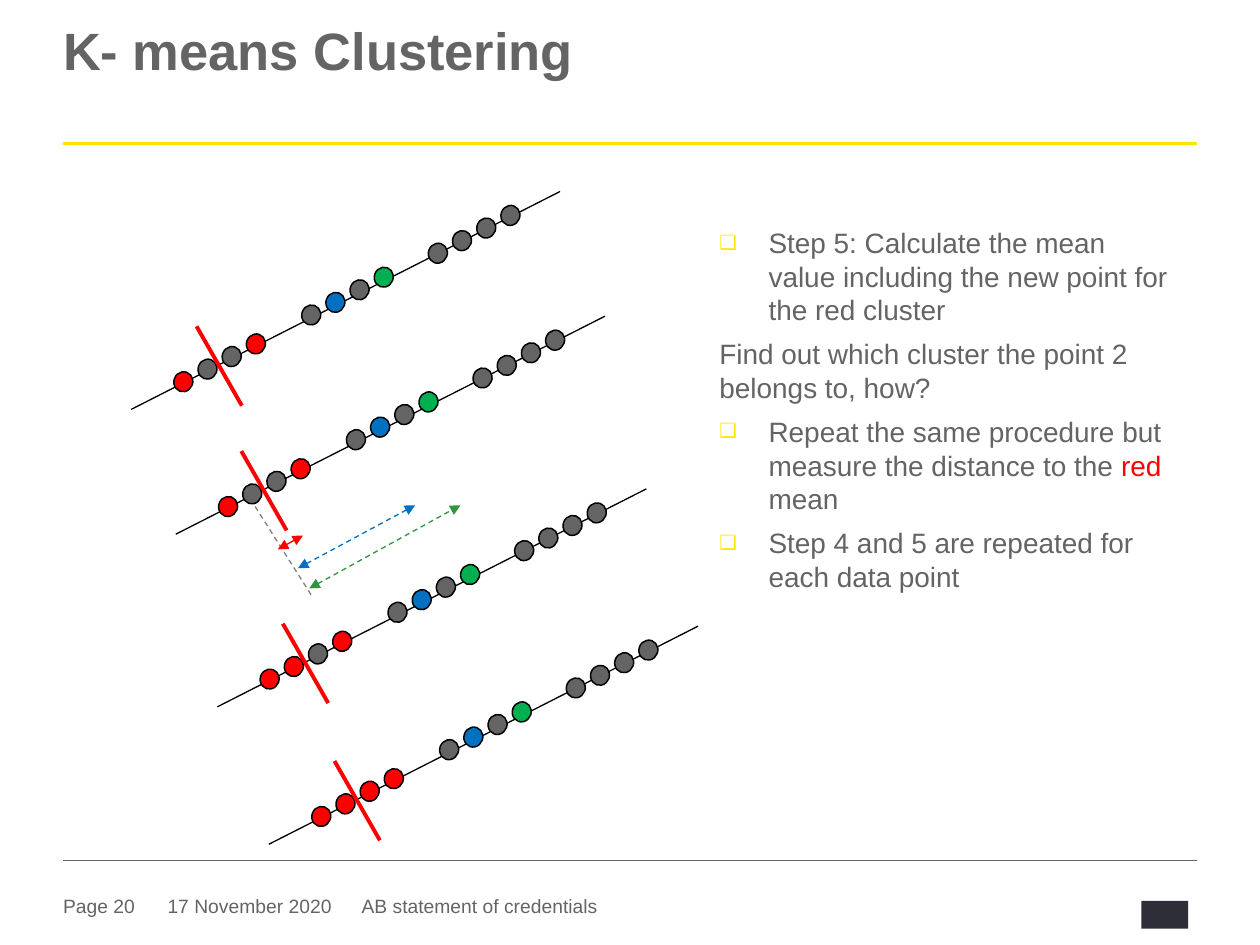
from lxml import etree
from pptx import Presentation, util as u
from pptx.dml.color import RGBColor
from pptx.enum import dml, shapes, text
from pptx.oxml.ns import qn

# The slide is a grid of 100 columns by 75 rows; all lengths are in cells
COLS, ROWS = 100, 75
CELL = u.Inches(10) // COLS
FONT = "Arial"
COLORS = {
    "grey": "646464", "yellow": "FFE600", "red": "FF0000", "green": "00B050",
    "blue": "0070C0", "black": "000000", "guide": "808080",
    "green_arrow": "2C973E", "mark": "2E2E38",
}


def cells(*lengths):
    return [round(length * CELL) for length in lengths]


def color(name):
    return RGBColor.from_string(COLORS[name])


def add_run(paragraph, words, size, tint="grey", bold=False):
    run = paragraph.add_run()
    run.text = words
    run.font.name, run.font.size, run.font.bold = FONT, u.Pt(size), bold
    run.font.color.rgb = color(tint)


def set_frame(frame, top=0):
    frame.margin_left = frame.margin_right = frame.margin_bottom = 0
    frame.margin_top = cells(top)[0]
    frame.word_wrap = True
    frame.auto_size = text.MSO_AUTO_SIZE.NONE
    frame.vertical_anchor = text.MSO_ANCHOR.TOP


def place(shape, box):
    shape.left, shape.top, shape.width, shape.height = cells(*box)


def add_line(parent, start, end, tint, width, dashed=False, arrows=False):
    line = parent.add_connector(shapes.MSO_CONNECTOR.STRAIGHT, *cells(*start, *end))
    line.line.color.rgb = color(tint)
    line.line.width = u.Pt(width)
    if dashed:
        line.line.dash_style = dml.MSO_LINE.DASH
    if arrows:
        for tag in ("a:headEnd", "a:tailEnd"):
            etree.SubElement(line.line._ln, qn(tag), type="triangle")
    etree.SubElement(line._element.spPr, qn("a:effectLst"))


def add_bullet(paragraph, indent):
    props = paragraph._p.get_or_add_pPr()
    props.set("marL", str(indent))
    props.set("indent", str(-indent))
    tint = etree.SubElement(props, qn("a:buClr"))
    etree.SubElement(tint, qn("a:srgbClr"), val=COLORS["yellow"])
    etree.SubElement(props, qn("a:buSzPct"), val="70000")
    etree.SubElement(props, qn("a:buFont"), typeface=FONT)
    etree.SubElement(props, qn("a:buChar"), char="❑")


def remove_bullet(paragraph):
    props = paragraph._p.get_or_add_pPr()
    props.set("marL", "0")
    props.set("indent", "0")
    etree.SubElement(props, qn("a:buNone"))


def fill_title(title, box):
    place(title, box)
    set_frame(title.text_frame)
    heading = title.text_frame.paragraphs[0]
    heading.alignment = text.PP_ALIGN.LEFT
    heading.line_spacing = 0.85
    add_run(heading, "K- means Clustering", 30, bold=True)


def fill_steps(body, box):
    place(body, box)
    set_frame(body.text_frame, top=0.4)
    steps = [
        (True, [("Step 5: Calculate the mean value including the new point "
                 "for the red cluster", "grey")]),
        (False, [("Find out which cluster the point 2 belongs to, how?", "grey")]),
        (True, [("Repeat the same procedure but measure the distance to the ", "grey"),
                ("red", "red"), (" mean", "grey")]),
        (True, [("Step 4 and 5 are repeated for each data point", "grey")]),
    ]
    for number, (bulleted, runs) in enumerate(steps):
        frame = body.text_frame
        step = frame.add_paragraph() if number else frame.paragraphs[0]
        step.alignment = text.PP_ALIGN.LEFT
        step.space_before, step.space_after = u.Pt(0), u.Pt(6)
        if bulleted:
            add_bullet(step, cells(3.9)[0])
        else:
            remove_bullet(step)
        for words, tint in runs:
            add_run(step, words, 16, tint)


def draw_footer(slide, box):
    left, top, width, height = box
    add_line(slide.shapes, (left, top), (left + width, top), "grey", 0.25)
    entries = [(0, 7.9, "Page 20"), (8.3, 14, "17 November 2020"),
               (23.7, 37, "AB statement of credentials")]
    for offset, span, words in entries:
        entry = slide.shapes.add_textbox(*cells(left + offset, top + 2.7, span, 2.2))
        set_frame(entry.text_frame)
        add_run(entry.text_frame.paragraphs[0], words, 11)
    # Plain block in the logo's place
    block = slide.shapes.add_shape(
        shapes.MSO_SHAPE.RECTANGLE,
        *cells(left + width - 4.4, top + 3.2, 3.7, 2.2))
    block.shadow.inherit = False
    block.fill.solid()
    block.fill.fore_color.rgb = color("mark")
    block.line.fill.background()


def draw_data_line(slide, origin, red_cluster):
    """Draw one line of points; origin is the lower left end of the line."""
    x, y = origin
    group = slide.shapes.add_group_shape().shapes
    add_line(group, (x, y), (x + 34.05, y - 17.3), "black", 0.75)
    clusters = [
        (3.4, -3, red_cluster),
        (13.55, -8.3, ["grey", "blue", "grey", "green"]),
        (23.6, -13.2, ["grey"] * 4),
    ]
    for dx, dy, tints in clusters:
        for number, tint in enumerate(tints):
            point = group.add_shape(
                shapes.MSO_SHAPE.FLOWCHART_CONNECTOR,
                *cells(x + dx + 1.92 * number, y + dy - number, 1.5, 1.6))
            point.rotation = 19.5
            point.shadow.inherit = False
            point.fill.solid()
            point.fill.fore_color.rgb = color(tint)
            point.line.color.rgb = color("black")
            point.line.width = u.Pt(0.85)
    # Mean of the red cluster
    add_line(group, (x + 5.2, y - 6.6), (x + 8.8, y - 0.3), "red", 2.25)
    return group


def draw_distances(group, origin):
    x, y = origin
    add_line(group, (x + 6.3, y - 2.2), (x + 10.8, y + 4.9), "guide", 0.75, dashed=True)
    distances = [
        ((9.7, 2.7), (19, -2.3), "blue", True),
        ((8.1, 1.2), (10.1, 0.1), "red", False),
        ((10.6, 4.3), (22.6, -2.3), "green_arrow", True),
    ]
    for (x1, y1), (x2, y2), tint, dashed in distances:
        add_line(group, (x + x1, y + y1), (x + x2, y + y2), tint, 0.75,
                 dashed, arrows=True)


def draw_clustering(slide, box):
    left, top = box[:2]
    one_found = ["red", "grey", "grey", "red"]
    stages = [
        ((0, 17.3), one_found, False),
        ((3.55, 27.2), one_found, True),
        ((6.85, 40.9), ["red", "red", "grey", "red"], False),
        ((10.95, 51.8), ["red"] * 4, False),
    ]
    for (dx, dy), red_cluster, measured in stages:
        origin = (left + dx, top + dy)
        group = draw_data_line(slide, origin, red_cluster)
        if measured:
            draw_distances(group, origin)


def main():
    deck = Presentation()
    deck.slide_width, deck.slide_height = cells(COLS, ROWS)
    slide = deck.slides.add_slide(deck.slide_layouts[1])
    title, body = slide.placeholders

    draw_footer(slide, (5, 68.3, 90, 6))
    add_line(slide.shapes, (5, 11.4), (95, 11.4), "yellow", 1.5)
    fill_title(title, (5, 2.2, 90, 9.4))
    fill_steps(body, (57.1, 17.5, 35.6, 29.9))
    draw_clustering(slide, (10.4, 15.2, 45, 51.8))
    deck.save("out.pptx")


if __name__ == "__main__":
    main()
